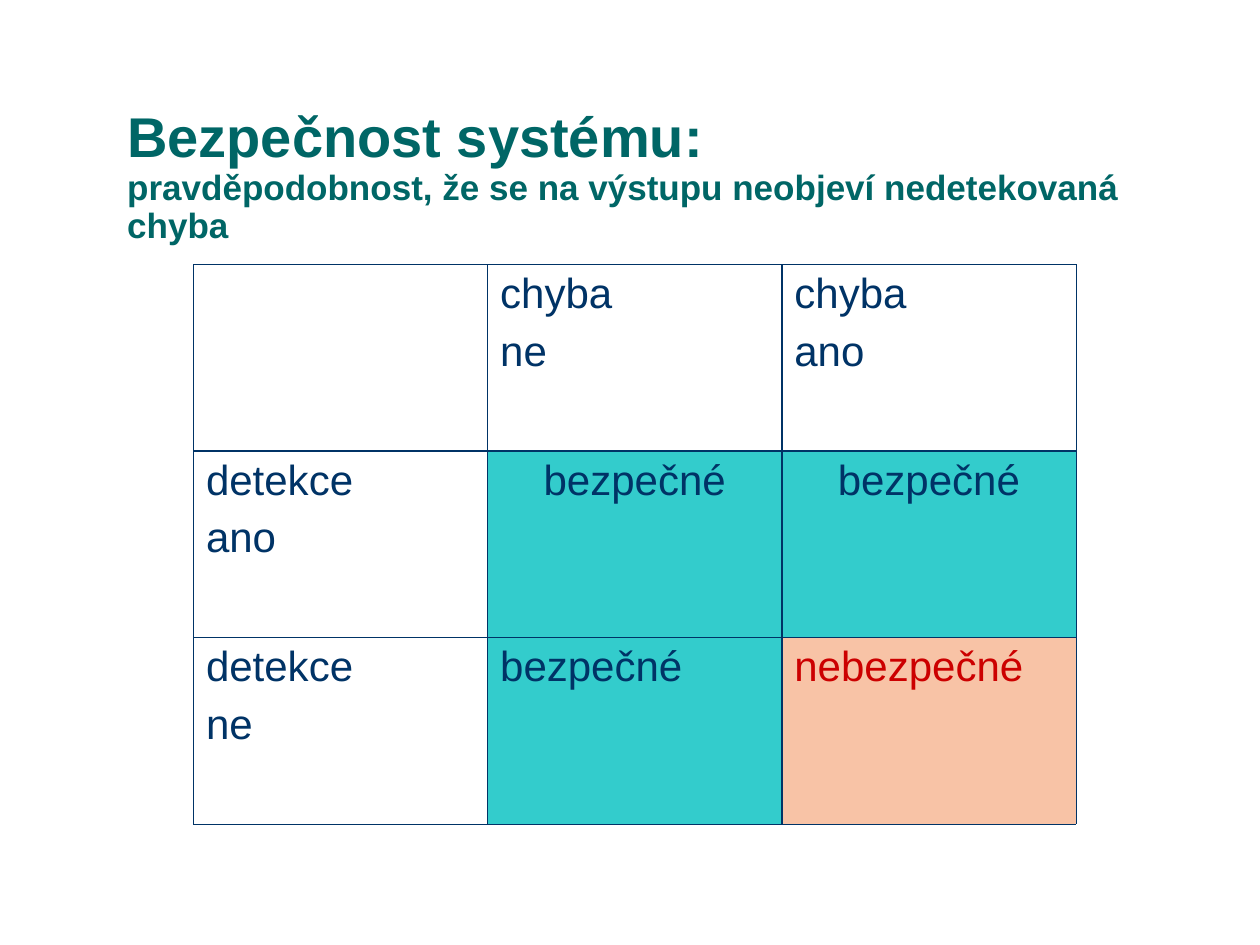
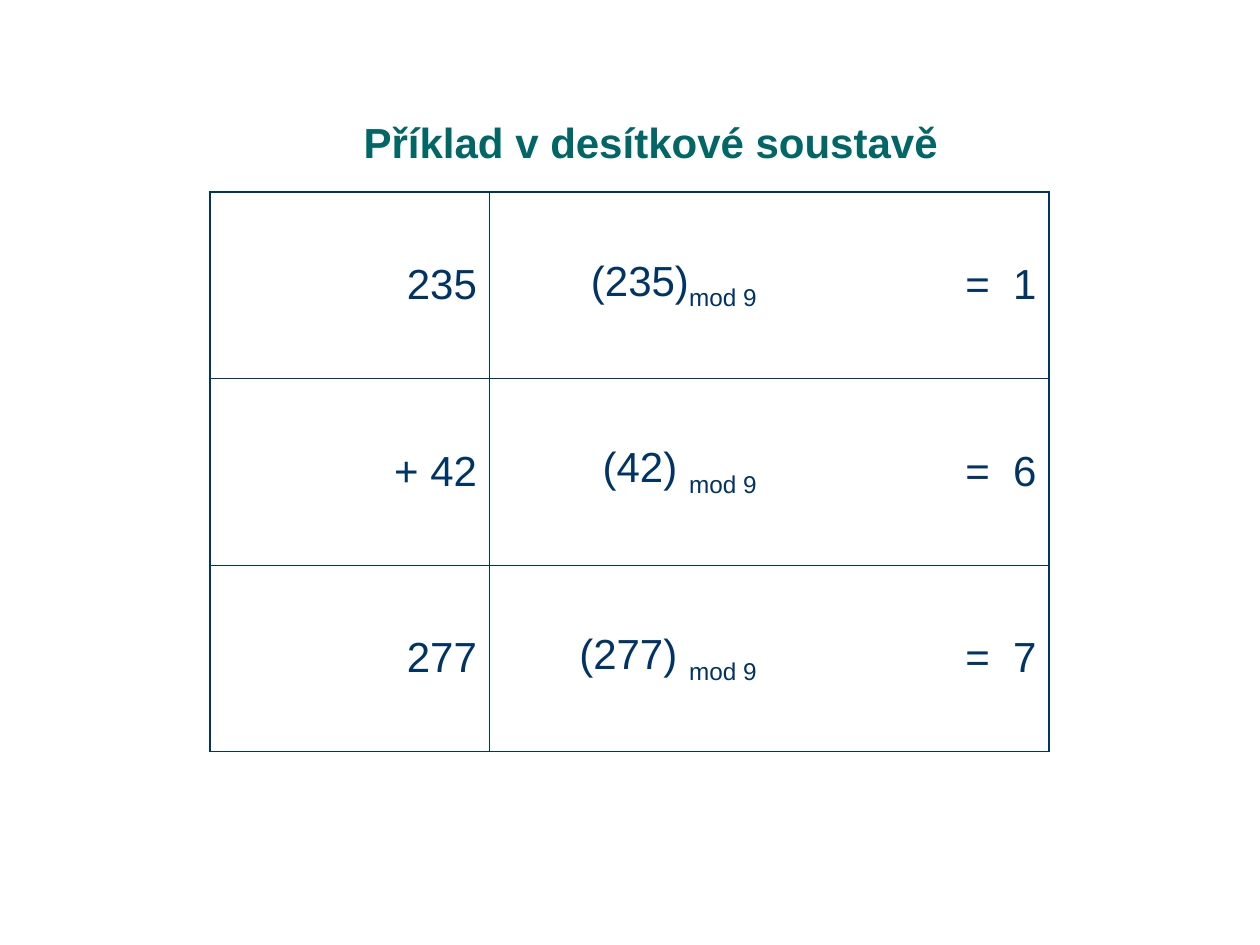
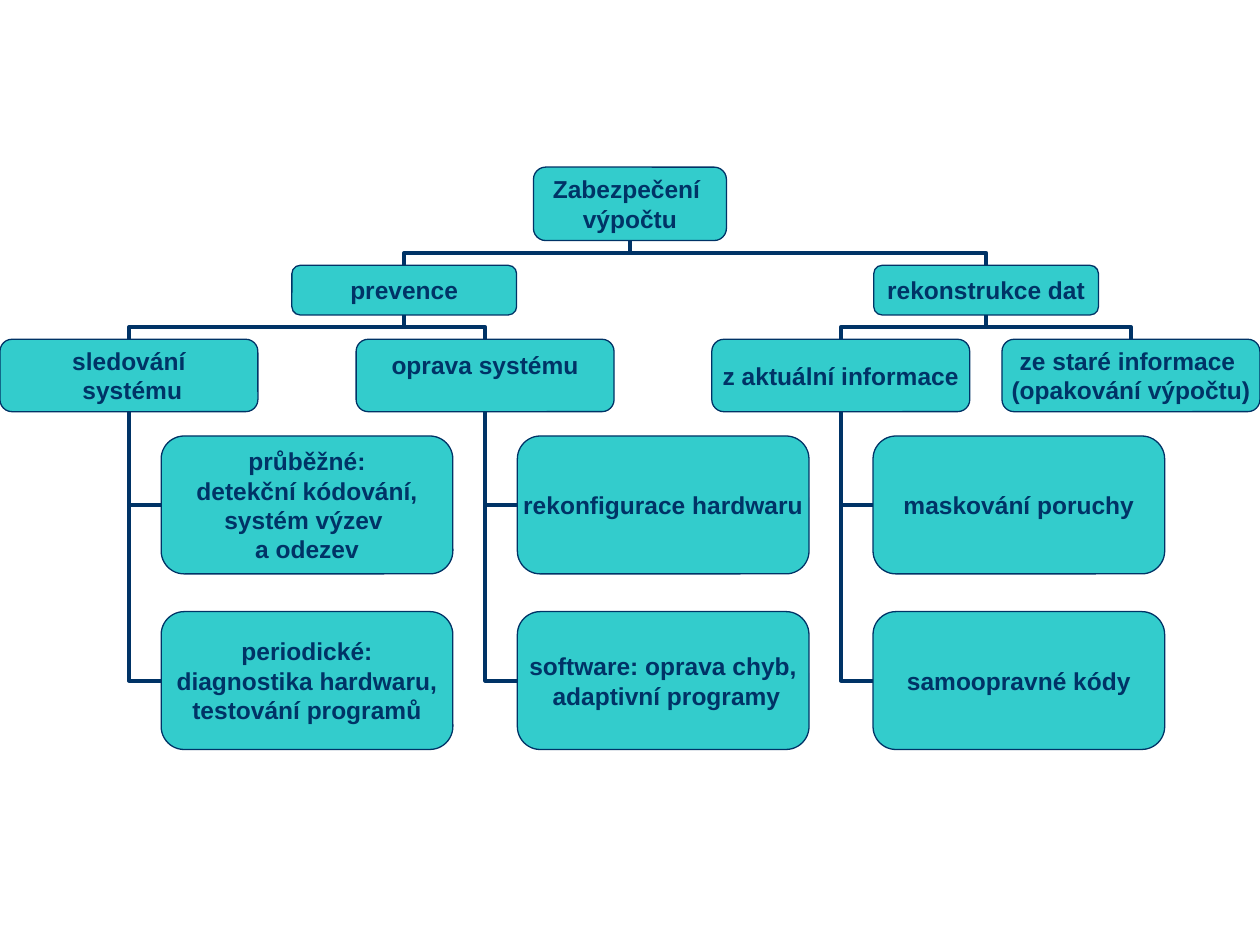
"""Builds three slides on system safety, residue checking and securing a computation."""
from copy import deepcopy

from lxml.etree import SubElement
from pptx import Presentation
from pptx.dml.color import RGBColor
from pptx.enum.shapes import MSO_CONNECTOR as Connector, MSO_SHAPE as Shape
from pptx.enum.text import MSO_ANCHOR as Anchor, MSO_AUTO_SIZE as AutoSize, PP_ALIGN as Align
from pptx.oxml.ns import qn
from pptx.util import Cm, Pt

COLORS = {"title": "006666", "ink": "003366", "safe": "33CCCC", "unsafe": "F8C3A6", "alert": "CC0000"}
FONT = "Arial"
TITLE_ONLY, BLANK = 5, 6
TOP, LEFT_SIDE, BOTTOM = 0, 1, 2
LEVELS = [(3.37, 3.89, 1.48), (5.35, 4.53, 1.0), (6.84, 5.2, 1.46)]
LEAF_TOPS = (8.79, 12.33)
LEAF_WIDTH, LEAF_HEIGHT, LEAF_INDENT = 5.88, 2.78, 0.65


class Deck:
    def __init__(self):
        self.presentation = Presentation()
        self.presentation.slide_width, self.presentation.slide_height = Cm(25.4), Cm(19.05)
        self.slide = None

    def add_slide(self, layout):
        self.slide = self.presentation.slides.add_slide(self.presentation.slide_layouts[layout])

    def color(self, name):
        return RGBColor.from_string(COLORS[name])

    def format_run(self, run, size, color="ink", bold=False):
        run.font.name, run.font.size, run.font.bold = FONT, Pt(size), bold
        run.font.color.rgb = self.color(color)

    def title(self, text, top, sizes, align=Align.LEFT):
        shape = self.slide.shapes.title
        shape.left, shape.top, shape.width, shape.height = Cm(2.31), Cm(top), Cm(21.62), Cm(2.77)
        frame = shape.text_frame
        frame.text = text
        frame.word_wrap, frame.auto_size = True, AutoSize.NONE
        frame.vertical_anchor = Anchor.BOTTOM
        paragraph = frame.paragraphs[0]
        paragraph.alignment, paragraph.line_spacing = align, 0.9
        for run, size in zip(paragraph.runs, sizes):
            self.format_run(run, size, "title", True)
        for line_break in paragraph._p.findall(qn("a:br")):
            line_break.insert(0, deepcopy(paragraph.runs[0]._r.rPr))

    def border(self, cell, side, width):
        line = SubElement(cell._tc.get_or_add_tcPr(), qn(f"a:ln{side}"), w=str(Pt(width)))
        if width:
            fill = SubElement(line, qn("a:solidFill"))
            SubElement(fill, qn("a:srgbClr"), val=COLORS["ink"])
        else:
            SubElement(line, qn("a:noFill"))

    def cell_text(self, cell, text, align, color):
        cell.text_frame.text = text.replace("|", "")
        for index, (paragraph, line) in enumerate(zip(cell.text_frame.paragraphs, text.split("\n"))):
            paragraph.alignment = align
            if index:
                paragraph.space_before = Pt(6)
            base, _, subscript = line.partition("|")
            if subscript:
                paragraph.runs[0].text = base
                paragraph.add_run().text = subscript
            for run in paragraph.runs:
                self.format_run(run, 24, color)
            if subscript:
                paragraph.runs[-1].font._element.set("baseline", "-25000")

    def table(self, rows, left, top, column_width, outer, inner, align=Align.LEFT,
              anchor=Anchor.TOP, styles=None, open_edge=None):
        count, columns, row_height = len(rows), len(rows[0]), 3.76
        table = self.slide.shapes.add_table(count, columns, Cm(left), Cm(top), Cm(column_width * columns),
                                            Cm(row_height * count)).table
        table.first_row = table.horz_banding = False
        for r, row in enumerate(rows):
            for c, text in enumerate(row):
                cell = table.cell(r, c)
                style = (styles or {}).get((r, c), {})
                edges = {"L": c, "R": c + 1}
                for side, edge in edges.items():
                    width = outer if edge in (0, columns) else inner
                    self.border(cell, side, 0 if edge == open_edge else width)
                for side, edge in {"T": r, "B": r + 1}.items():
                    self.border(cell, side, outer if edge in (0, count) else inner)
                if "fill" in style:
                    cell.fill.solid()
                    cell.fill.fore_color.rgb = self.color(style["fill"])
                else:
                    cell.fill.background()
                cell.vertical_anchor = anchor
                if text:
                    self.cell_text(cell, text, style.get("align", align), style.get("color", "ink"))

    def box(self, text, center, top, width, height, anchor=Anchor.MIDDLE):
        shape = self.slide.shapes.add_shape(Shape.ROUNDED_RECTANGLE, Cm(center - width / 2), Cm(top),
                                            Cm(width), Cm(height))
        shape.shadow.inherit = False
        shape.fill.solid()
        shape.fill.fore_color.rgb = self.color("safe")
        shape.line.color.rgb, shape.line.width = self.color("ink"), Pt(0.75)
        frame = shape.text_frame
        frame.text = text
        frame.word_wrap, frame.vertical_anchor = False, anchor
        frame.margin_left = frame.margin_right = Cm(0.12)
        frame.margin_top = frame.margin_bottom = Cm(0.15 if anchor == Anchor.TOP else 0.06)
        for paragraph in frame.paragraphs:
            paragraph.alignment = Align.CENTER
            for run in paragraph.runs:
                self.format_run(run, 14, bold=True)
        return shape

    def link(self, child, parent, site):
        """Joins a child to the bottom of its parent, from its top or its left side."""
        connector = self.slide.shapes.add_connector(Connector.ELBOW, 0, 0, 0, 0)
        connector.begin_connect(child, site)
        connector.end_connect(parent, BOTTOM)
        parent_x, parent_y = parent.left + parent.width // 2, parent.top + parent.height
        if site == TOP:
            child_x = child.left + child.width // 2
            width, height = child.top - parent_y, abs(child_x - parent_x)
            left = (child_x + parent_x - width) // 2
            top = (child.top + parent_y - height) // 2
            turn, flip_h, flip_v = (270, 0, 1) if child_x > parent_x else (90, 1, 1)
        else:
            left, top = parent_x, parent_y
            width, height = child.left - parent_x, child.top + child.height // 2 - parent_y
            turn, flip_h, flip_v = 180, 0, 0
            connector._element.spPr.find(qn("a:prstGeom")).set("prst", "bentConnector2")
        connector.left, connector.top, connector.width, connector.height = left, top, width, height
        transform = connector._element.spPr.find(qn("a:xfrm"))
        for name, value in (("rot", turn * 60000), ("flipH", flip_h), ("flipV", flip_v)):
            transform.set(name, str(value))
        connector.line.color.rgb, connector.line.width = self.color("ink"), Pt(2.25)
        SubElement(connector._element.spPr, qn("a:effectLst"))
        self.slide.shapes._spTree.insert(2, connector._element)

    def tree(self, node, level=0, parent=None):
        text, center, children = node
        anchor = Anchor.TOP if text == "oprava systému" else Anchor.MIDDLE
        shape = self.box(text, center, *LEVELS[level], anchor)
        if parent is not None:
            self.link(shape, parent, TOP)
        if level + 1 < len(LEVELS):
            for child in children:
                self.tree(child, level + 1, shape)
        else:
            leaf_center = center + LEAF_INDENT + LEAF_WIDTH / 2
            for leaf, top in zip(children, LEAF_TOPS):
                self.link(self.box(leaf, leaf_center, top, LEAF_WIDTH, LEAF_HEIGHT), shape, LEFT_SIDE)


def main():
    deck = Deck()

    deck.add_slide(TITLE_ONLY)
    deck.title("Bezpečnost systému:\vpravděpodobnost, že se na výstupu neobjeví nedetekovaná chyba",
               2.31, (32, 20))
    safe_centered = {"fill": "safe", "align": Align.CENTER}
    deck.table([["", "chyba\nne", "chyba\nano"],
                ["detekce\nano", "bezpečné", "bezpečné"],
                ["detekce\nne", "bezpečné", "nebezpečné"]],
               3.9, 5.33, 5.93, outer=0.45, inner=1.08,
               styles={(1, 1): safe_centered, (1, 2): safe_centered, (2, 1): {"fill": "safe"},
                       (2, 2): {"fill": "unsafe", "color": "alert"}})

    deck.add_slide(TITLE_ONLY)
    deck.title("Příklad v desítkové soustavě", 0.74, (24,), Align.CENTER)
    deck.table([["235", "(235)|mod 9", "=  1"],
                ["+ 42", "(42) |mod 9", "=  6"],
                ["277", "(277) |mod 9", "=  7"]],
               4.23, 3.87, 5.64, outer=1.08, inner=0.45, align=Align.RIGHT, anchor=Anchor.MIDDLE,
               open_edge=2)

    deck.add_slide(BLANK)
    deck.tree(("Zabezpečení \nvýpočtu", 12.7, [
        ("prevence", 8.15, [
            ("sledování\n systému", 2.6, ["průběžné:\ndetekční kódování,\nsystém výzev \na odezev",
                                          "periodické:\ndiagnostika hardwaru,\ntestování programů"]),
            ("oprava systému", 9.78, ["rekonfigurace hardwaru",
                                      "software: oprava chyb,\n adaptivní programy"])]),
        ("rekonstrukce dat", 19.88, [
            ("z aktuální informace", 16.95, ["maskování poruchy", "samoopravné kódy"]),
            ("ze staré informace \n(opakování výpočtu)", 22.8, [])])]))

    deck.presentation.save("out.pptx")


if __name__ == "__main__":
    main()
